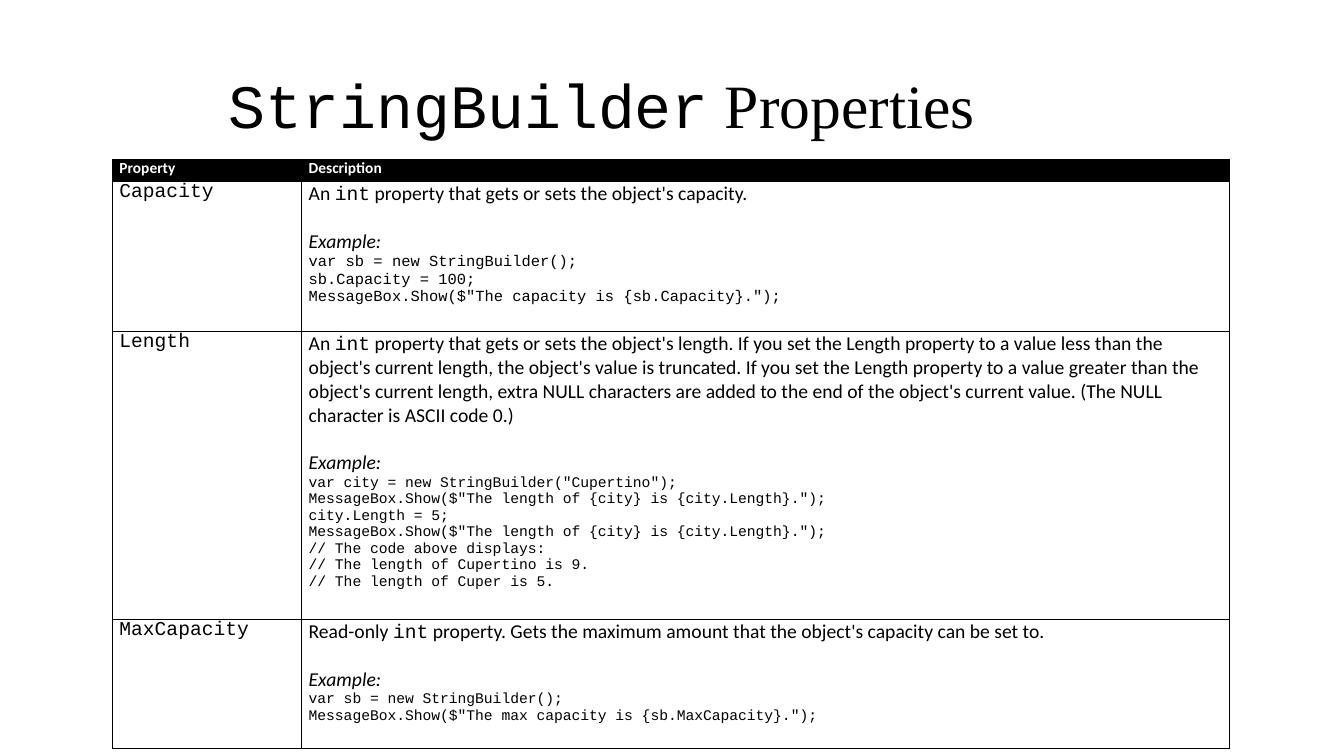
from lxml.etree import SubElement
from pptx import Presentation
from pptx.dml.color import RGBColor
from pptx.enum.text import MSO_ANCHOR
from pptx.oxml.ns import qn
from pptx.util import Cm, Pt

BODY, CODE, TITLE = "Calibri", "Courier New", "Times New Roman"
BLACK, WHITE = "000000", "FFFFFF"
COLUMN_WIDTHS = (4.77, 23.38)
HEADER_HEIGHT = 0.56

# name, description around the word "int", example code, code size, row height
PROPERTIES = [
    ("Capacity",
     ("An ", " property that gets or sets the object's capacity."),
     ['var sb = new StringBuilder();',
      'sb.Capacity = 100;',
      'MessageBox.Show($"The capacity is {sb.Capacity}.");'],
     11, 3.78),
    ("Length",
     ("An ", " property that gets or sets the object's length. If you set the "
      "Length property to a value less than the object's current length, the "
      "object's value is truncated. If you set the Length property to a value "
      "greater than the object's current length, extra NULL characters are "
      "added to the end of the object's current value. (The NULL character is "
      "ASCII code 0.)"),
     ['var city = new StringBuilder("Cupertino");',
      'MessageBox.Show($"The length of {city} is {city.Length}.");',
      'city.Length = 5;',
      'MessageBox.Show($"The length of {city} is {city.Length}.");',
      '// The code above displays:',
      '// The length of Cupertino is 9.',
      '// The length of Cuper is 5.'],
     10.5, 7.26),
    ("MaxCapacity",
     ("Read-only ", " property. Gets the maximum amount that the object's "
      "capacity can be set to."),
     ['var sb = new StringBuilder();',
      'MessageBox.Show($"The max capacity is {sb.MaxCapacity}.");'],
     10.5, 3.25),
]


def rgb(color):
    return RGBColor.from_string(color)


def set_font(font, size, name=None, color=BLACK, bold=False, italic=False):
    font.size, font.bold, font.italic = Pt(size), bold, italic
    font.color.rgb = rgb(color)
    if name:
        font.name = name


def add_runs(p, runs):
    for text, name in runs:
        r = p.add_run()
        r.text, r.font.name = text, name


def add_line(tf, text, size, name, **style):
    """Fill the first paragraph if it is still empty, otherwise append one."""
    p = tf.paragraphs[0] if not tf.text else tf.add_paragraph()
    p.text = text
    set_font(p.font, size, name, **style)
    return p


def add_title(s, left, top, width, height):
    tf = s.shapes.add_textbox(Cm(left), Cm(top), Cm(width), Cm(height)).text_frame
    tf.word_wrap = True
    tf.vertical_anchor = MSO_ANCHOR.MIDDLE
    tf.margin_top = Cm(0.25)
    p = tf.paragraphs[0]
    p.line_spacing = 0.9
    set_font(p.font, 44)
    add_runs(p, [("StringBuilder", CODE), (" Properties", TITLE)])


def format_cell(cell, fill=None):
    cell.margin_left = cell.margin_right = Cm(0.18)
    cell.margin_top = cell.margin_bottom = 0
    tcPr = cell._tc.get_or_add_tcPr()
    for side in ("a:lnL", "a:lnR", "a:lnT", "a:lnB"):
        ln = SubElement(tcPr, qn(side), w=str(Pt(1)))
        SubElement(SubElement(ln, qn("a:solidFill")), qn("a:srgbClr"), val=BLACK)
    if fill:
        cell.fill.solid()
        cell.fill.fore_color.rgb = rgb(fill)
    else:
        cell.fill.background()


def fill_description(tf, description, code, code_size):
    before, after = description
    p = tf.paragraphs[0]
    set_font(p.font, 14)
    add_runs(p, [(before, BODY), ("int", CODE), (after, BODY)])
    add_line(tf, "Example:", 14, BODY, italic=True).space_before = Pt(17)
    for line in code:
        add_line(tf, line, code_size, CODE)


def add_property_table(s, left, top):
    heights = [HEADER_HEIGHT] + [row[-1] for row in PROPERTIES]
    table = s.shapes.add_table(len(heights), len(COLUMN_WIDTHS), Cm(left), Cm(top),
                               Cm(sum(COLUMN_WIDTHS)), Cm(sum(heights))).table
    table.first_row = table.horz_banding = False
    for column, width in zip(table.columns, COLUMN_WIDTHS):
        column.width = Cm(width)
    for i, height in enumerate(heights):
        table.rows[i].height = Cm(height)
        for cell in table.rows[i].cells:
            format_cell(cell, fill=None if i else BLACK)

    for cell, heading in zip(table.rows[0].cells, ("Property", "Description")):
        add_line(cell.text_frame, heading, 11, BODY, color=WHITE, bold=True)
    for i, (name, description, code, code_size, _) in enumerate(PROPERTIES, 1):
        add_line(table.cell(i, 0).text_frame, name, 14, CODE)
        fill_description(table.cell(i, 1).text_frame, description, code, code_size)


def main():
    prs = Presentation()
    prs.slide_width, prs.slide_height = Cm(33.87), Cm(19.05)
    s = prs.slides.add_slide(prs.slide_layouts[6])
    add_title(s, 5.51, 1.63, 22.86, 2.08)
    add_property_table(s, 2.83, 4.01)
    prs.save("out.pptx")


if __name__ == "__main__":
    main()
